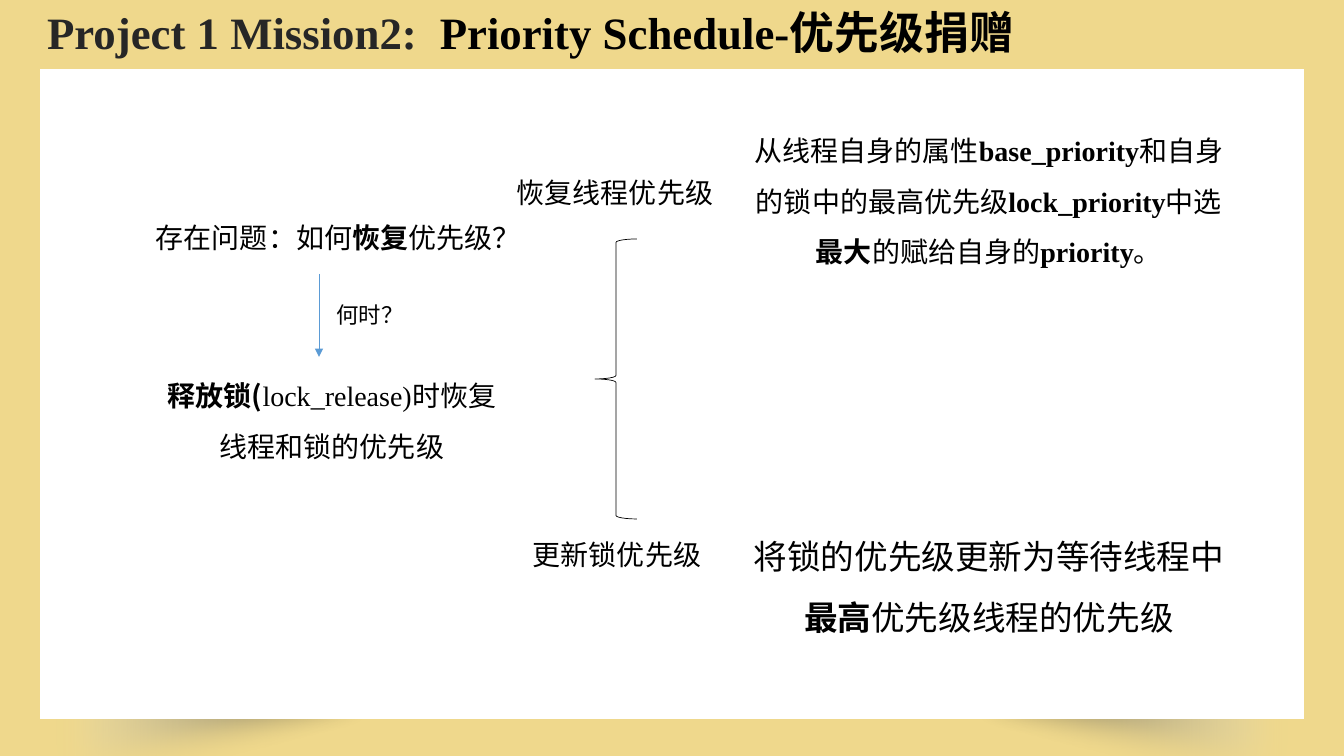
import pptx
import pptx.util
import pptx.dml.color
import pptx.enum.shapes
import pptx.enum.text
import pptx.oxml
import pptx.oxml.ns

SCALE = 914400 / 100.8
CJK = "Noto Sans CJK SC"
LATIN = "Times New Roman"
NAMESPACE = pptx.oxml.ns.nsdecls("a")
SHAPES = pptx.enum.shapes.MSO_SHAPE
ALIGN = pptx.enum.text.PP_ALIGN
AUTO_SIZE = pptx.enum.text.MSO_AUTO_SIZE


def color(value):
    return pptx.dml.color.RGBColor.from_string(value)


def write(frame, paragraphs, size, paragraph_format):
    frame.word_wrap = True
    for index, runs in enumerate(paragraphs):
        paragraph = frame.add_paragraph() if index else frame.paragraphs[0]
        for name, value in paragraph_format.items():
            setattr(paragraph, name, value)
        for text, font_name, bold, text_color in runs:
            run = paragraph.add_run()
            run.text = text
            run.font.color.rgb = color(text_color)
            font_format = {"name": font_name, "size": pptx.util.Pt(size), "bold": bold}
            for name, value in font_format.items():
                setattr(run.font, name, value)
            run.font._element.append(
                pptx.oxml.parse_xml(f'<a:ea {NAMESPACE} typeface="{font_name}"/>'))


presentation = pptx.Presentation()
presentation.slide_width = round(1344 * SCALE)
presentation.slide_height = round(756 * SCALE)
slide = presentation.slides.add_slide(presentation.slide_layouts[5])
slide.background.fill.solid()
slide.background.fill.fore_color.rgb = color("EFD88C")

for left, rotation in [(933, 270), (7, 90)]:
    box = [round(length * SCALE) for length in (left, 443, 403, 337)]
    shade = slide.shapes.add_shape(SHAPES.TRAPEZOID, *box)
    shade.rotation = rotation
    shade.line.fill.background()
    shade.fill.gradient()
    shade.fill.gradient_angle = 270
    for stop, stop_color in zip(shade.fill.gradient_stops, ["000000", "E3E8EB"]):
        stop.color.rgb = color(stop_color)
    shade._element.xpath(".//a:gs/a:srgbClr")[-1].append(
        pptx.oxml.parse_xml(f'<a:alpha {NAMESPACE} val="0"/>'))
    shade._element.spPr.append(pptx.oxml.parse_xml(
        f'<a:effectLst {NAMESPACE}><a:softEdge rad="317500"/></a:effectLst>'))

sheet = slide.shapes.add_shape(
    SHAPES.RECTANGLE, *[round(length * SCALE) for length in (40, 69, 1264, 650)])
sheet.shadow.inherit = False
sheet.fill.solid()
sheet.fill.fore_color.rgb = color("FFFFFF")
sheet.line.fill.background()

title = slide.shapes.title
slide.shapes._spTree.append(title._element)
title_box = {"left": 37, "top": 6, "width": 1297, "height": 125}
for name, length in title_box.items():
    setattr(title, name, round(length * SCALE))
title.text_frame.auto_size = AUTO_SIZE.NONE
title.text_frame.vertical_anchor = pptx.enum.text.MSO_ANCHOR.TOP
write(title.text_frame, [[
    ("Project 1 Mission2:  ", LATIN, True, "262626"),
    ("Priority Schedule-", LATIN, True, "000000"),
    ("优先级捐赠", CJK, True, "000000"),
]], 32, {"alignment": ALIGN.LEFT, "line_spacing": 0.9})

left_aligned = {"alignment": ALIGN.LEFT}
centered = {"alignment": ALIGN.CENTER}
spaced = {"alignment": ALIGN.CENTER, "line_spacing": 1.5}
notes = [
    ((146, 216, 372, 44), 20, left_aligned, [[
        ("存在问题：如何", CJK, False), ("恢复", CJK, True), ("优先级？", CJK, False)]]),
    ((146, 357, 372, 112), 20, spaced, [[
        ("释放锁(", CJK, True), ("lock_release)", LATIN, False),
        ("时恢复线程和锁的优先级", CJK, False)]]),
    ((324, 296, 92, 37), 16, centered, [[("何时？", CJK, False)]]),
    ((733, 112, 512, 162), 20, spaced, [[
        ("从线程自身的属性", CJK, False), ("base_priority", LATIN, True),
        ("和自身的锁中的最高优先级", CJK, False), ("lock_priority", LATIN, True),
        ("中选", CJK, False), ("最大", CJK, True), ("的赋给自身的", CJK, False),
        ("priority", LATIN, True), ("。", CJK, False)]]),
    ((733, 511, 512, 132), 24, spaced, [
        [("将锁的优先级更新为等待线程中", CJK, False)],
        [("最高", CJK, True), ("优先级线程的优先级", CJK, False)]]),
    ((497, 171, 236, 44), 20, centered, [[("恢复线程优先级", CJK, False)]]),
    ((518, 533, 198, 44), 20, centered, [[("更新锁优先级", CJK, False)]]),
]
for box, size, paragraph_format, paragraphs in notes:
    note = slide.shapes.add_textbox(*[round(length * SCALE) for length in box])
    note.text_frame.auto_size = AUTO_SIZE.SHAPE_TO_FIT_TEXT
    black_paragraphs = [[(*run, "000000") for run in runs] for runs in paragraphs]
    write(note.text_frame, black_paragraphs, size, paragraph_format)

arrow = slide.shapes.add_connector(
    pptx.enum.shapes.MSO_CONNECTOR.STRAIGHT,
    *[round(length * SCALE) for length in (319, 274, 319, 357)])
arrow._element.spPr.append(pptx.oxml.parse_xml(f"<a:effectLst {NAMESPACE}/>"))

brace = slide.shapes.add_shape(
    SHAPES.LEFT_BRACE, *[round(length * SCALE) for length in (595, 239, 42, 280)])
brace.shadow.inherit = False
brace.fill.background()

for shape, line_color in [(arrow, "5B9BD5"), (brace, "000000")]:
    shape.line.color.rgb = color(line_color)
    shape.line.width = pptx.util.Pt(0.5)
arrow.line._get_or_add_ln().append(
    pptx.oxml.parse_xml(f'<a:tailEnd {NAMESPACE} type="triangle"/>'))

presentation.save("out.pptx")
